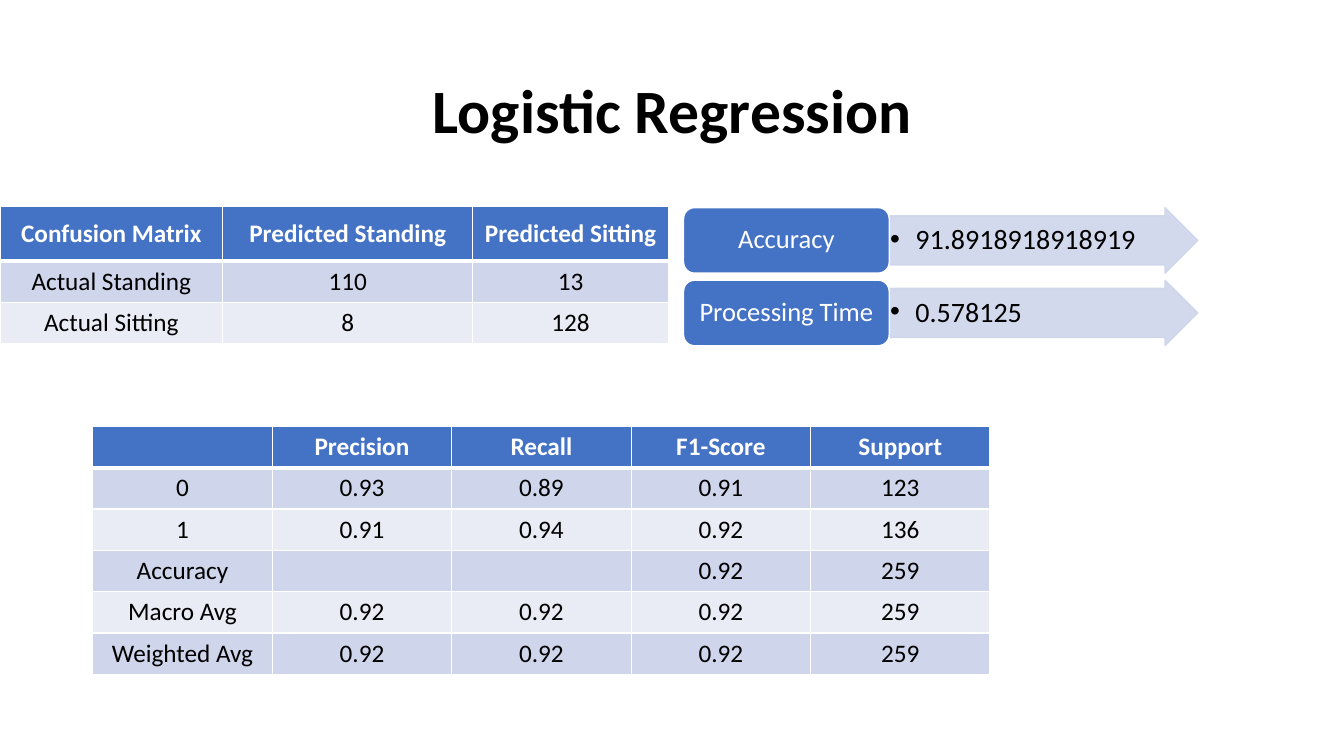
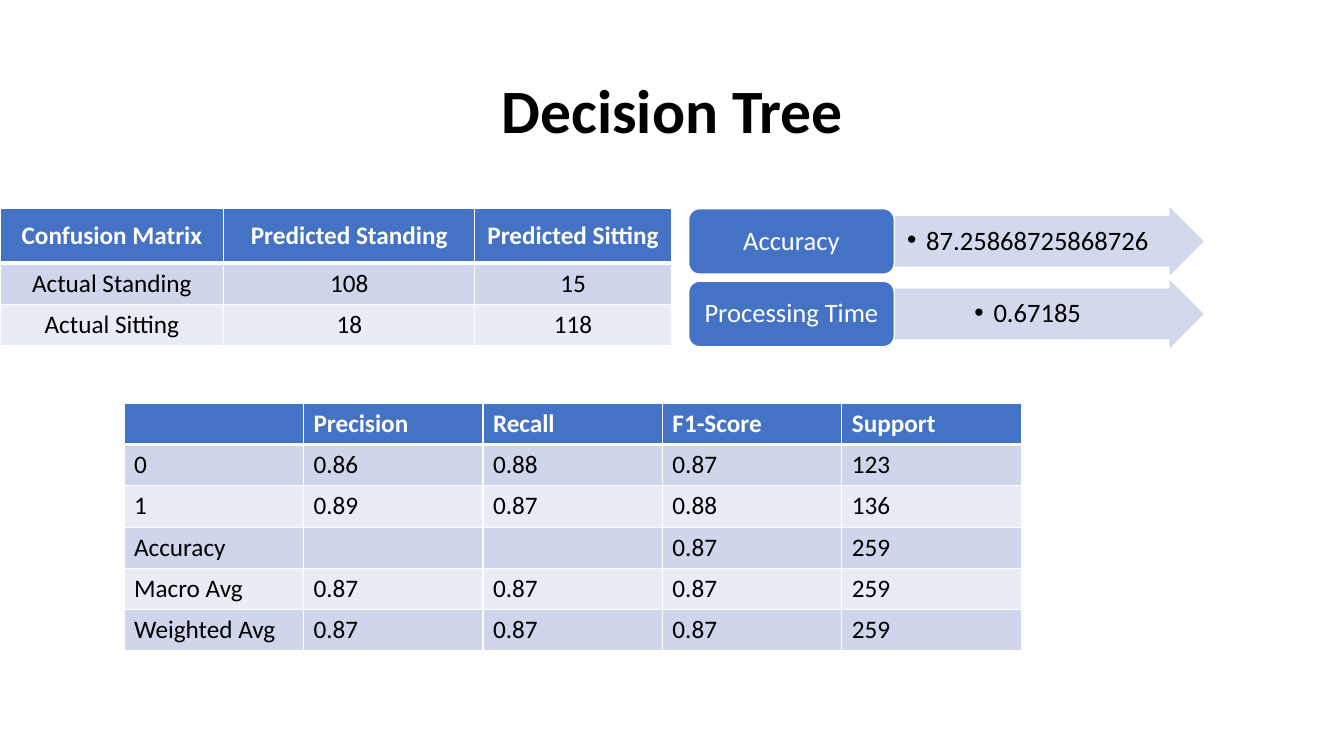
from dataclasses import dataclass

from lxml import etree
from pptx import Presentation
from pptx.dml import color
from pptx.enum import shapes, text
from pptx.oxml import ns
from pptx.util import Inches, Pt

# Shared look
FONT = "Calibri"
BLUE, PALE, PALER = "4472C4", "CFD5EA", "E9EBF5"
WHITE, BLACK = "FFFFFF", "000000"
CENTER, LEFT = text.PP_ALIGN.CENTER, text.PP_ALIGN.LEFT
MIDDLE, TOP = text.MSO_ANCHOR.MIDDLE, text.MSO_ANCHOR.TOP

# Shared measures, in inches
LABEL_WIDTH, ARROW_WIDTH, METRIC_HEIGHT, METRIC_STEP = 2.04, 3.06, 0.65, 0.72
MATRIX_HEAD, MATRIX_ROW = 0.54, 0.41
SCORE_COLUMN, SCORE_ROW = 1.78, 0.41

MATRIX_HEADER = ["Confusion Matrix", "Predicted Standing", "Predicted Sitting"]
SCORE_HEADER = ["", "Precision", "Recall", "F1-Score", "Support"]


@dataclass
class Grid:
    left: float
    top: float
    columns: list[float]
    heights: list[float]
    rows: list[list[str]]
    align: text.PP_ALIGN = CENTER
    anchor: text.MSO_ANCHOR = MIDDLE


@dataclass
class Metrics:
    left: float
    top: float
    accuracy: str
    time: str
    size: int
    indent: float
    align: text.PP_ALIGN


@dataclass
class ModelPage:
    title: str
    matrix: Grid
    metrics: Metrics
    scores: Grid


def rgb(value: str) -> color.RGBColor:
    return color.RGBColor.from_string(value)


def write(para, content: str, size: int, ink: str, bold: bool = False,
          align: text.PP_ALIGN = CENTER) -> None:
    para.alignment = align
    if content:
        span = para.add_run()
        span.text = content
        span.font.name, span.font.size = FONT, Pt(size)
        span.font.bold, span.font.color.rgb = bold, rgb(ink)


def set_margins(frame, left: float, top: float, right: float, bottom: float) -> None:
    frame.margin_left, frame.margin_top = Inches(left), Inches(top)
    frame.margin_right, frame.margin_bottom = Inches(right), Inches(bottom)
    frame.word_wrap, frame.vertical_anchor = True, MIDDLE


# Title
def add_title(page, title: str) -> None:
    box = page.shapes.add_textbox(Inches(0.92), Inches(0.4), Inches(11.5), Inches(1.45))
    set_margins(box.text_frame, 0.1, 0.05, 0.1, 0.05)
    para = box.text_frame.paragraphs[0]
    para.line_spacing = 0.9
    write(para, title, 44, BLACK, bold=True)


# Tables
def add_border(cell, side: str, points: float) -> None:
    line = etree.SubElement(cell._tc.get_or_add_tcPr(), ns.qn(f"a:ln{side}"), w=str(Pt(points)))
    fill = etree.SubElement(line, ns.qn("a:solidFill"))
    etree.SubElement(fill, ns.qn("a:srgbClr"), val=WHITE)


def add_grid(page, grid: Grid) -> None:
    frame = page.shapes.add_table(
        len(grid.rows), len(grid.columns), Inches(grid.left), Inches(grid.top),
        Inches(sum(grid.columns)), Inches(sum(grid.heights)))
    table = frame.table
    for column, width in zip(table.columns, grid.columns):
        column.width = Inches(width)
    for r, (values, height) in enumerate(zip(grid.rows, grid.heights)):
        table.rows[r].height = Inches(height)
        header = r == 0
        fill = BLUE if header else PALE if r % 2 else PALER
        for c, value in enumerate(values):
            cell = table.cell(r, c)
            # The rule below the header is thicker
            for side in "LRTB":
                thick = (r, side) in ((0, "B"), (1, "T"))
                add_border(cell, side, 3 if thick else 1)
            cell.fill.solid()
            cell.fill.fore_color.rgb = rgb(fill)
            cell.vertical_anchor = grid.anchor
            write(cell.text_frame.paragraphs[0], value, 18,
                  WHITE if header else BLACK, header, grid.align)


# Metric labels and arrows
def add_panel(page, kind, left: float, top: float, width: float, fill: str, line: str):
    panel = page.shapes.add_shape(
        kind, Inches(left), Inches(top), Inches(width), Inches(METRIC_HEIGHT))
    panel.shadow.inherit = False
    panel.fill.solid()
    panel.fill.fore_color.rgb = rgb(fill)
    panel.line.color.rgb, panel.line.width = rgb(line), Pt(1)
    panel.text_frame.paragraphs[0].line_spacing = 0.9
    return panel


def add_bullet(para, indent: float) -> None:
    props = para._p.get_or_add_pPr()
    props.set("marL", str(Inches(indent)))
    props.set("indent", str(-Inches(indent)))
    etree.SubElement(props, ns.qn("a:buFont"), typeface="Arial")
    etree.SubElement(props, ns.qn("a:buChar"), char="•")


def add_metrics(page, metrics: Metrics) -> None:
    entries = [("Accuracy", metrics.accuracy), ("Processing Time", metrics.time)]
    for i, (name, value) in enumerate(entries):
        top = metrics.top + i * METRIC_STEP
        arrow = add_panel(page, shapes.MSO_SHAPE.RIGHT_ARROW, metrics.left + LABEL_WIDTH,
                          top, ARROW_WIDTH, PALE, PALE)
        arrow.adjustments[0], arrow.adjustments[1] = 0.75, 0.5
        for tint in arrow._element.spPr.iter(ns.qn("a:srgbClr")):
            etree.SubElement(tint, ns.qn("a:alpha"), val="90000")
        set_margins(arrow.text_frame, 0.01, 0.01, 0.18, 0.01)
        para = arrow.text_frame.paragraphs[0]
        write(para, value, metrics.size, BLACK, align=metrics.align)
        add_bullet(para, metrics.indent)

        label = add_panel(page, shapes.MSO_SHAPE.ROUNDED_RECTANGLE, metrics.left,
                          top, LABEL_WIDTH, BLUE, WHITE)
        set_margins(label.text_frame, 0.08, 0.04, 0.08, 0.04)
        write(label.text_frame.paragraphs[0], name, 19, WHITE)


# Slide content
def matrix_grid(top: float, columns: list[float], standing: list[str],
                sitting: list[str]) -> Grid:
    rows = [MATRIX_HEADER, ["Actual Standing", *standing], ["Actual Sitting", *sitting]]
    return Grid(0, top, columns, [MATRIX_HEAD, MATRIX_ROW, MATRIX_ROW], rows)


def score_grid(left: float, top: float, zero: list[str], one: list[str], average: str,
               align: text.PP_ALIGN, anchor: text.MSO_ANCHOR) -> Grid:
    averages = [average] * 3 + ["259"]
    rows = [
        SCORE_HEADER,
        ["0", *zero, "123"],
        ["1", *one, "136"],
        ["Accuracy", "", "", average, "259"],
        ["Macro Avg", *averages],
        ["Weighted Avg", *averages],
    ]
    return Grid(left, top, [SCORE_COLUMN] * len(SCORE_HEADER), [SCORE_ROW] * len(rows),
                rows, align, anchor)


PAGES = [
    ModelPage(
        "Logistic Regression",
        matrix_grid(2.05, [2.21, 2.48, 1.94], ["110", "13"], ["8", "128"]),
        Metrics(6.78, 2.06, "91.8918918918919", "0.578125", 20, 0.25, LEFT),
        score_grid(0.92, 4.23, ["0.93", "0.89", "0.91"], ["0.91", "0.94", "0.92"],
                   "0.92", CENTER, MIDDLE),
    ),
    ModelPage(
        "Decision Tree",
        matrix_grid(2.07, [2.22, 2.49, 1.95], ["108", "15"], ["18", "118"]),
        Metrics(6.83, 2.07, "87.25868725868726", "0.67185", 19, 0.19, CENTER),
        score_grid(1.23, 4, ["0.86", "0.88", "0.87"], ["0.89", "0.87", "0.88"],
                   "0.87", LEFT, TOP),
    ),
]


def main() -> None:
    deck = Presentation()
    deck.slide_width, deck.slide_height = Inches(13.33), Inches(7.5)
    for model in PAGES:
        page = deck.slides.add_slide(deck.slide_layouts[6])
        add_title(page, model.title)
        add_grid(page, model.matrix)
        add_grid(page, model.scores)
        add_metrics(page, model.metrics)
    deck.save("out.pptx")


if __name__ == "__main__":
    main()
